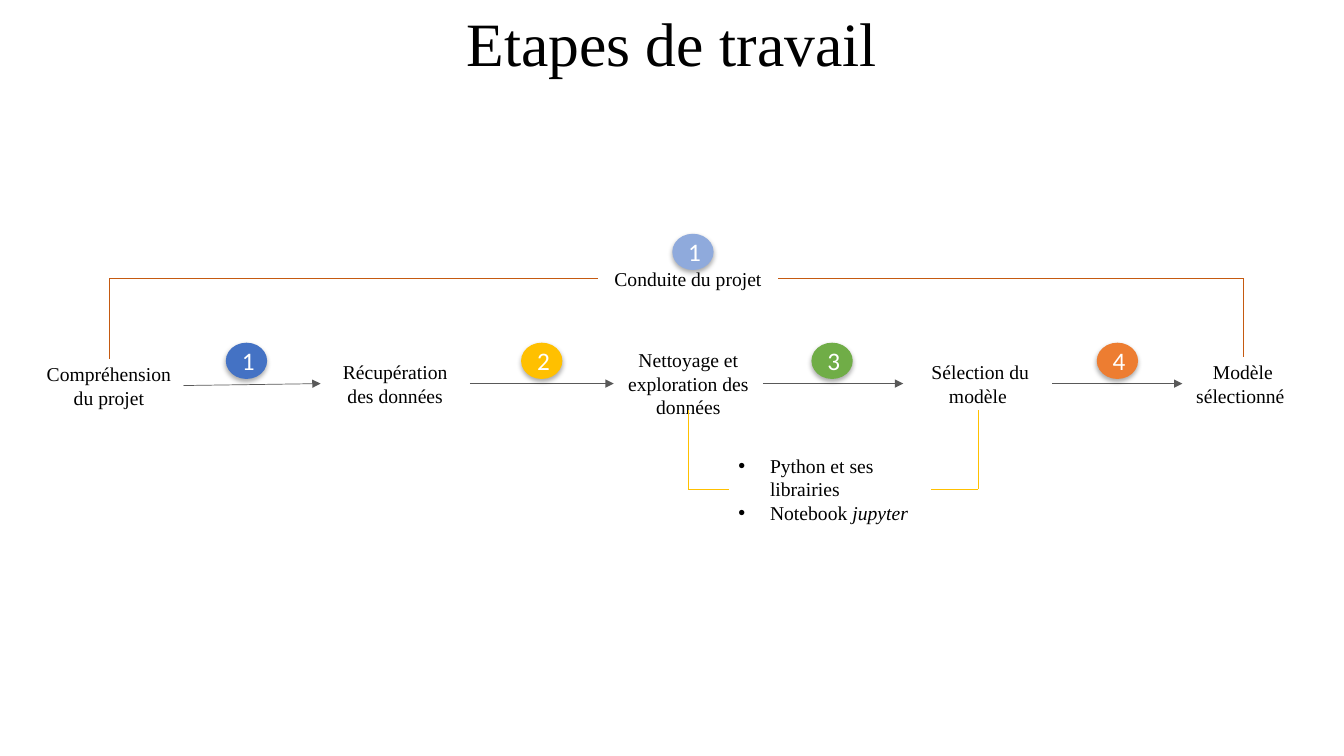
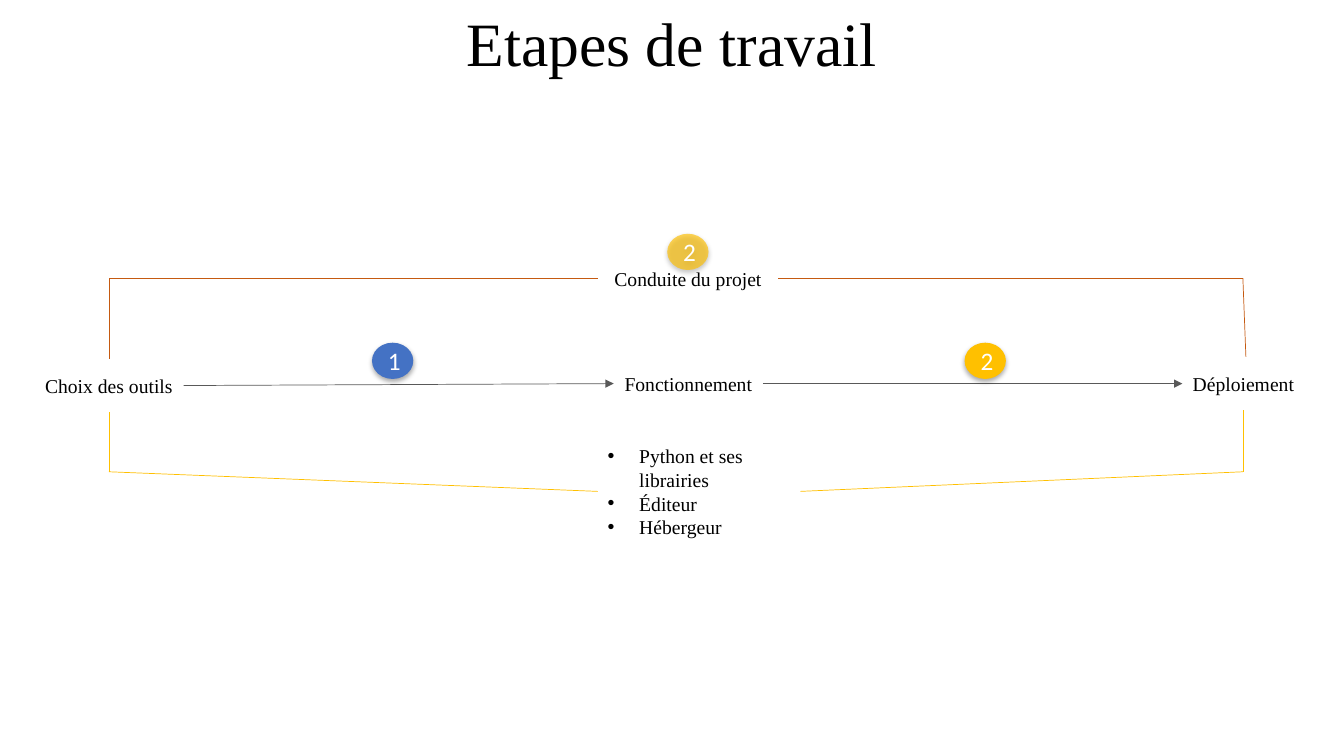
from dataclasses import dataclass

from lxml import etree
from pptx import Presentation
from pptx.dml.color import RGBColor
from pptx.enum.shapes import MSO_CONNECTOR, MSO_SHAPE
from pptx.enum.text import MSO_ANCHOR, PP_ALIGN
from pptx.oxml.ns import qn
from pptx.util import Pt

STRAIGHT, ELLIPSE = MSO_CONNECTOR.STRAIGHT, MSO_SHAPE.OVAL
MIDDLE, CENTER, LEFT_ALIGN = MSO_ANCHOR.MIDDLE, PP_ALIGN.CENTER, PP_ALIGN.LEFT
TOP, LEFT, BOTTOM, RIGHT = range(4)  # connection sites of a box

BLACK = RGBColor(0x00, 0x00, 0x00)
WHITE = RGBColor(0xFF, 0xFF, 0xFF)
GREY = RGBColor(0x59, 0x59, 0x59)
BLUE = RGBColor(0x44, 0x72, 0xC4)
PALE_BLUE = RGBColor(0x8F, 0xAA, 0xDC)
GOLD = RGBColor(0xFF, 0xC0, 0x00)
GREEN = RGBColor(0x70, 0xAD, 0x47)
ORANGE = RGBColor(0xED, 0x7D, 0x31)
RUST = RGBColor(0xC5, 0x5A, 0x11)

SERIF, SANS = "Times New Roman", "Calibri"
SLIDE_W, SLIDE_H = 960, 540
STEP_W, BOX_H, STEP_TOP = 106.6, 38.2, 254.9
BADGE_W, BADGE_H = 29.5, 25.9
STEP_BADGE_TOP, LEAD_BADGE_TOP = 244.8, 167
BULLET_INDENT = 22.5


@dataclass(frozen=True)
class Box:
    lines: tuple[str, ...]
    left: float
    top: float = STEP_TOP
    width: float = STEP_W
    height: float = BOX_H
    size: float = 14
    bulleted: bool = False
    italic_end: str = ""

    @property
    def center(self) -> tuple[float, float]:
        return self.left + self.width / 2, self.top + self.height / 2


@dataclass(frozen=True)
class Side:
    box: Box
    site: int


@dataclass(frozen=True)
class Point:
    x: float
    y: float


@dataclass(frozen=True)
class Link:
    start: Side | Point
    end: Side | Point
    color: RGBColor = GREY
    arrow: bool = False


@dataclass(frozen=True)
class Badge:
    number: int
    left: float
    color: RGBColor
    top: float = STEP_BADGE_TOP
    opacity: int = 100


def arrows(steps: list[Box]) -> list[Link]:
    return [Link(Side(a, RIGHT), Side(b, LEFT), arrow=True)
            for a, b in zip(steps, steps[1:])]


def bracket(hub: Side, corner: Point, foot: Side | Point, color: RGBColor) -> list[Link]:
    return [Link(hub, corner, color), Link(corner, foot, color)]


def draw_box(slide, box: Box):
    shape = slide.shapes.add_textbox(Pt(box.left), Pt(box.top), Pt(box.width), Pt(box.height))
    frame = shape.text_frame
    frame.word_wrap = True
    frame.vertical_anchor = MIDDLE
    for i, line in enumerate(box.lines):
        paragraph = frame.add_paragraph() if i else frame.paragraphs[0]
        paragraph.add_run().text = line
        paragraph.alignment = LEFT_ALIGN if box.bulleted else CENTER
        paragraph.font.name = SERIF
        paragraph.font.size = Pt(box.size)
        paragraph.font.color.rgb = BLACK
        if box.bulleted:
            properties = paragraph._p.get_or_add_pPr()
            properties.set("marL", str(Pt(BULLET_INDENT)))
            properties.set("indent", str(-Pt(BULLET_INDENT)))
            bullet = etree.Element(qn("a:buChar"), char="•")
            properties.insert(0, bullet)
            bullet.addprevious(etree.Element(qn("a:buFont"), typeface="Arial"))
    if box.italic_end:
        ending = paragraph.add_run()
        ending.text = box.italic_end
        ending.font.italic = True
    return shape


def draw_link(slide, link: Link, shapes: dict) -> None:
    ends = [end if isinstance(end, Point) else Point(*end.box.center)
            for end in (link.start, link.end)]
    line = slide.shapes.add_connector(
        STRAIGHT, *(Pt(value) for end in ends for value in (end.x, end.y)))
    for end, connect in ((link.start, line.begin_connect), (link.end, line.end_connect)):
        if isinstance(end, Side):
            connect(shapes[end.box], end.site)
    line.line.color.rgb = link.color
    line.line.width = Pt(0.5)
    if link.arrow:
        etree.SubElement(line.line._get_or_add_ln(), qn("a:tailEnd"), type="triangle")
    etree.SubElement(line._element.spPr, qn("a:effectLst"))


def draw_badge(slide, badge: Badge) -> None:
    shape = slide.shapes.add_shape(
        ELLIPSE, Pt(badge.left), Pt(badge.top), Pt(BADGE_W), Pt(BADGE_H))
    shape.fill.solid()
    shape.fill.fore_color.rgb = badge.color
    shape.line.fill.background()
    if badge.opacity < 100:
        fill = shape._element.spPr.find(qn("a:solidFill"))
        etree.SubElement(fill[0], qn("a:alpha"), val=str(badge.opacity * 1000))
    # Soft shadow straight below
    effects = etree.SubElement(shape._element.spPr, qn("a:effectLst"))
    shadow = etree.SubElement(
        effects, qn("a:outerShdw"), blurRad=str(Pt(3.5)), dist=str(Pt(2.2)),
        dir="5400000", algn="ctr", rotWithShape="0")
    shade = etree.SubElement(shadow, qn("a:srgbClr"), val=str(BLACK))
    etree.SubElement(shade, qn("a:alpha"), val="32000")
    # Number
    shape.text_frame.vertical_anchor = MIDDLE
    paragraph = shape.text_frame.paragraphs[0]
    paragraph.add_run().text = str(badge.number)
    paragraph.alignment = CENTER
    paragraph.font.name = SANS
    paragraph.font.size = Pt(18)
    paragraph.font.color.rgb = WHITE


# Parts shared by both slides
TITLE = Box(("Etapes de travail",), 0, 0, SLIDE_W, 66.2, size=44)
LEAD = Box(("Conduite du projet",), 427, 179.6, 128.9)
LEFT_X, RIGHT_X = 77.8, 887.8


def draw_slide(deck, steps: list[Box], tools: Box, tool_links: list[Link],
               badges: list[Badge]) -> None:
    slide = deck.slides.add_slide(deck.slide_layouts[6])
    title = draw_box(slide, TITLE)
    title.text_frame.paragraphs[0].line_spacing = 0.9
    shapes = {box: draw_box(slide, box) for box in (*steps, tools, LEAD)}
    lead_y = LEAD.center[1]
    links = [
        *arrows(steps),
        *tool_links,
        *bracket(Side(LEAD, LEFT), Point(LEFT_X, lead_y), Side(steps[0], TOP), RUST),
        *bracket(Side(LEAD, RIGHT), Point(RIGHT_X, lead_y), Side(steps[-1], TOP), RUST),
    ]
    for link in links:
        draw_link(slide, link, shapes)
    for badge in badges:
        draw_badge(slide, badge)


def draw_modelling(deck) -> None:
    understanding = Box(("Compréhension du projet",), 24.5, 256.3)
    collection = Box(("Récupération des données",), 229)
    cleaning = Box(("Nettoyage et exploration des données",), 438.4)
    selection = Box((" Sélection du modèle",), 645.2)
    model = Box(("Modèle sélectionné ",), 844.6, width=86.4)
    tools = Box(("Python et ses librairies", "Notebook "), 520.4, 330.3, 144.7,
                bulleted=True, italic_end="jupyter")
    tool_links = [
        link
        for step, site in ((cleaning, LEFT), (selection, RIGHT))
        for link in bracket(Side(tools, site), Point(step.center[0], tools.center[1]),
                            Side(step, BOTTOM), GOLD)
    ]
    badges = [
        Badge(1, 161.3, BLUE),
        Badge(2, 372.2, GOLD),
        Badge(3, 579.6, GREEN),
        Badge(4, 783.4, ORANGE),
        Badge(1, 480.2, PALE_BLUE, LEAD_BADGE_TOP),
    ]
    draw_slide(deck, [understanding, collection, cleaning, selection, model],
               tools, tool_links, badges)


def draw_deployment(deck) -> None:
    choice = Box(("Choix des outils",), 24.5, 256.3)
    operation = Box(("Fonctionnement",), 438.4)
    deployment = Box(("Déploiement ",), 844.6, width=90.7)
    tools = Box(("Python et ses librairies", "Éditeur", "Hébergeur"),
                427, 316.8, 144.7, 68.4, bulleted=True)
    corner_y = 337
    tool_links = [
        *bracket(Side(tools, LEFT), Point(LEFT_X, corner_y), Side(choice, BOTTOM), GOLD),
        *bracket(Side(tools, RIGHT), Point(RIGHT_X, corner_y),
                 Point(RIGHT_X, STEP_TOP + BOX_H), GOLD),
    ]
    badges = [
        Badge(1, 265.7, BLUE),
        Badge(2, 689, GOLD),
        Badge(2, 476.6, GOLD, LEAD_BADGE_TOP, opacity=66),
    ]
    draw_slide(deck, [choice, operation, deployment], tools, tool_links, badges)


def main() -> None:
    deck = Presentation()
    deck.slide_width, deck.slide_height = Pt(SLIDE_W), Pt(SLIDE_H)
    draw_modelling(deck)
    draw_deployment(deck)
    deck.save("out.pptx")


if __name__ == "__main__":
    main()
